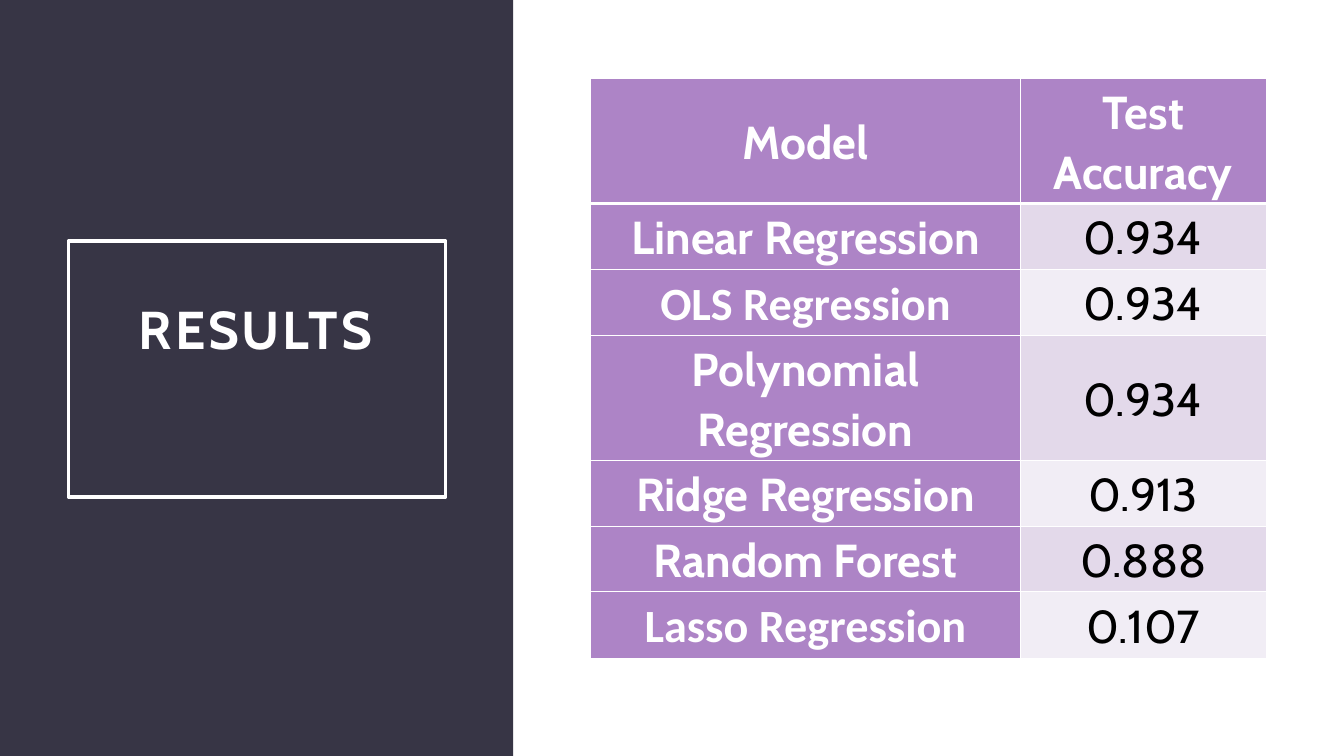
"""Build the results slide: a dark title panel beside a table of model accuracies."""
from dataclasses import dataclass

from lxml import etree
from pptx import Presentation
from pptx.dml.color import RGBColor
from pptx.enum.shapes import MSO_SHAPE
from pptx.enum.text import MSO_ANCHOR, MSO_AUTO_SIZE, PP_ALIGN
from pptx.oxml.ns import qn
from pptx.util import Inches, Pt

RECTANGLE = MSO_SHAPE.RECTANGLE
MIDDLE = MSO_ANCHOR.MIDDLE
CENTER = PP_ALIGN.CENTER
NO_AUTOFIT = MSO_AUTO_SIZE.NONE


@dataclass(frozen=True)
class Theme:
    panel: str = "373545"
    accent: str = "AD84C6"
    bands: tuple = ("E3D9EA", "F1EDF5")
    light: str = "FFFFFF"
    dark: str = "000000"
    font: str = "Cabin"
    second_font: str = "Calibri"
    title_size: int = 38
    table_size: int = 33


theme = Theme()


def write(frame, text, size, color, bold, font, spacing):
    para = frame.paragraphs[0]
    para.alignment = CENTER
    para.line_spacing = spacing
    span = para.add_run()
    span.text = text
    span.font.size = Pt(size)
    span.font.bold = bold
    span.font.name = font
    span.font.color.rgb = RGBColor.from_string(color)
    return span


def add_border(cell, side, points):
    properties = cell._tc.get_or_add_tcPr()
    line = etree.SubElement(properties, qn(f"a:ln{side}"), w=str(Pt(points)))
    fill = etree.SubElement(line, qn("a:solidFill"))
    etree.SubElement(fill, qn("a:srgbClr"), val=theme.light)


deck = Presentation()
deck.slide_width, deck.slide_height = Inches(13.33), Inches(7.5)
page = deck.slides.add_slide(deck.slide_layouts[5])

panel = page.shapes.add_shape(RECTANGLE, 0, 0, Inches(5.09), deck.slide_height)
panel.shadow.inherit = False
panel.fill.solid()
panel.fill.fore_color.rgb = RGBColor.from_string(theme.panel)
panel.line.fill.background()

title = page.shapes.title
title.left, title.top = Inches(0.68), Inches(2.39)
title.width, title.height = Inches(3.74), Inches(2.54)
title.line.color.rgb = RGBColor.from_string(theme.light)
title.line.width = Pt(2.5)
title_frame = title.text_frame
title_frame.auto_size = NO_AUTOFIT
title_frame.word_wrap = True
title_frame.vertical_anchor = MIDDLE
title_frame.margin_left = title_frame.margin_right = Inches(0.3)
title_frame.margin_top = title_frame.margin_bottom = Inches(0.2)
heading = write(title_frame, "RESULTS", theme.title_size, theme.light, True, theme.font, 0.9)
heading.font._element.set("spc", "200")
title_frame.paragraphs[0].add_line_break()
title._element.addprevious(panel._element)

results = [
    ("Model", "Test Accuracy"),
    ("Linear Regression", "0.934"),
    ("OLS Regression", "0.934"),
    ("Polynomial Regression", "0.934"),
    ("Ridge Regression", "0.913"),
    ("Random Forest", "0.888"),
    ("Lasso Regression", "0.107"),
]
second_font_models = ("OLS Regression", "Lasso Regression")
column_widths = (4.26, 2.44)
row_heights = (1.24, 0.65, 0.66, 1.24, 0.65, 0.65, 0.66)

frame = page.shapes.add_table(
    len(results), len(column_widths), Inches(5.86), Inches(0.78),
    Inches(sum(column_widths)), Inches(sum(row_heights)),
)
table = frame.table
for column, width in zip(table.columns, column_widths):
    column.width = Inches(width)

for row_index, (entry, height) in enumerate(zip(results, row_heights)):
    table.rows[row_index].height = Inches(height)
    for column_index, text in enumerate(entry):
        cell = table.cell(row_index, column_index)
        is_label = row_index == 0 or column_index == 0
        edges = {"L": 1, "R": 1, "T": 3 if row_index == 1 else 1, "B": 3 if row_index == 0 else 1}
        for side, points in edges.items():
            add_border(cell, side, points)
        fill_color = theme.accent if is_label else theme.bands[(row_index - 1) % 2]
        cell.fill.solid()
        cell.fill.fore_color.rgb = RGBColor.from_string(fill_color)
        cell.vertical_anchor = MIDDLE
        cell.margin_left = cell.margin_right = Inches(0.14)
        cell.margin_top = cell.margin_bottom = 0
        write(
            cell.text_frame, text, theme.table_size,
            theme.light if is_label else theme.dark, is_label,
            theme.second_font if text in second_font_models else theme.font, 1.07,
        )

deck.save("out.pptx")
